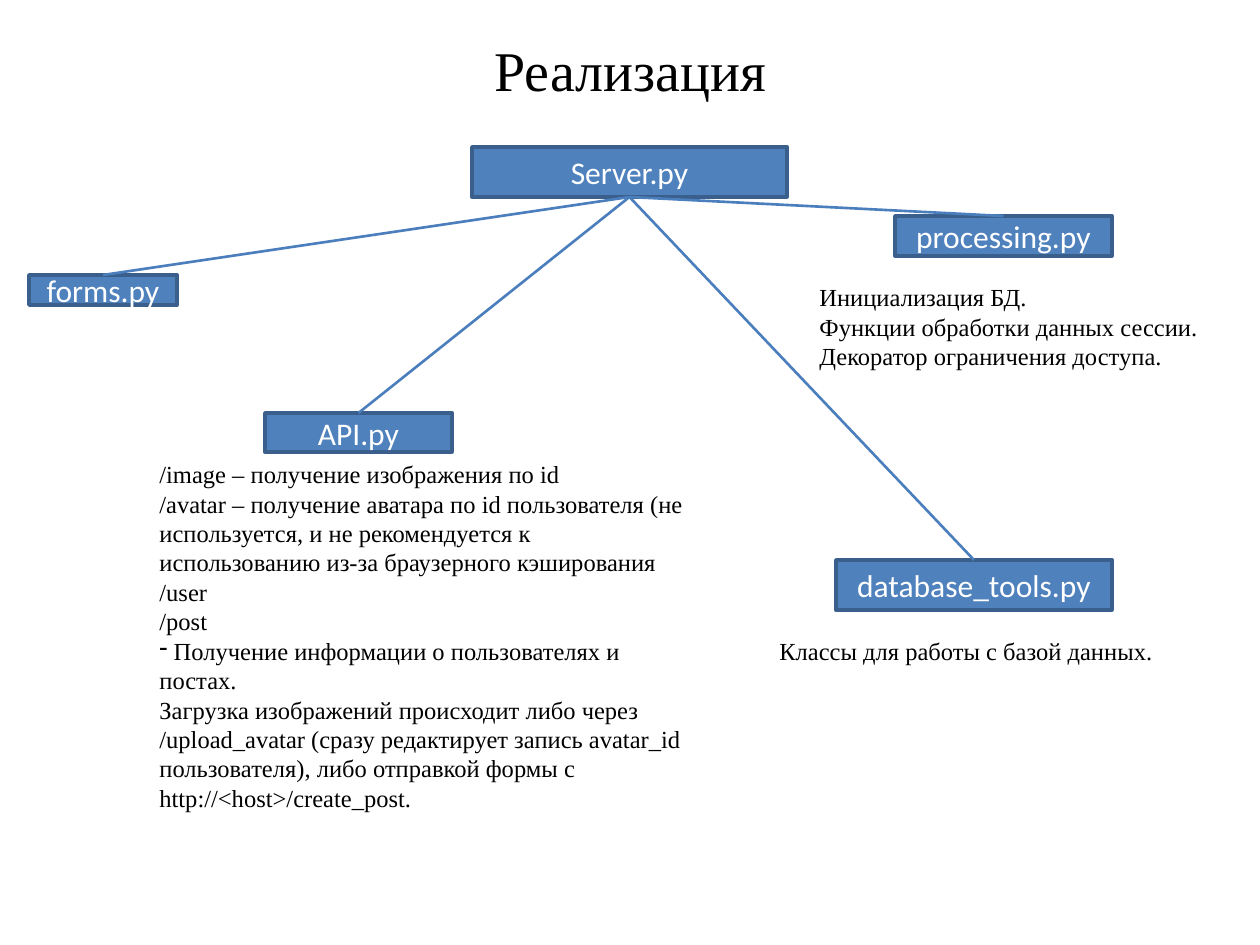
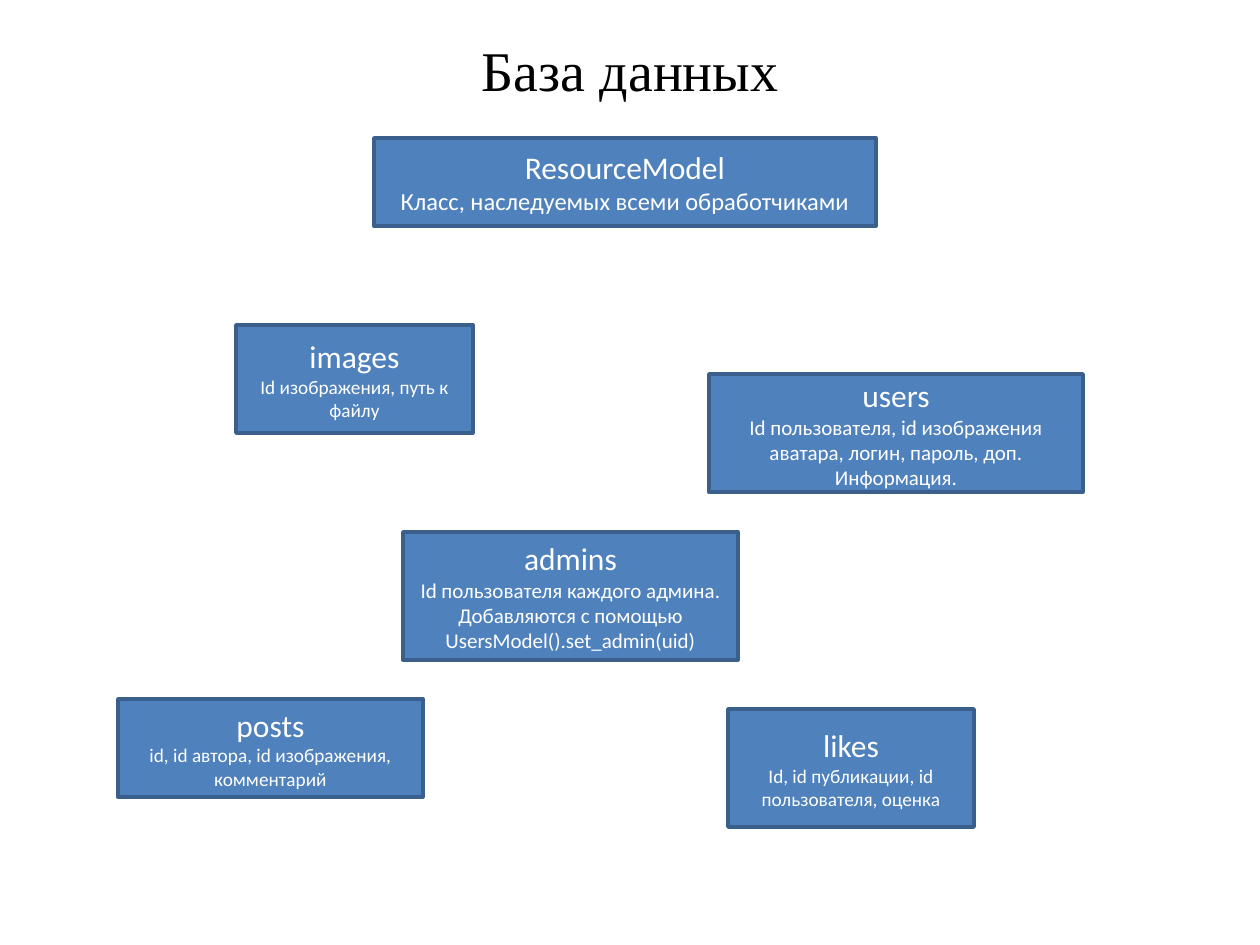
from lxml.etree import SubElement
from pptx import Presentation
from pptx.dml.color import RGBColor
from pptx.enum.shapes import MSO_CONNECTOR, MSO_SHAPE
from pptx.enum.text import MSO_ANCHOR, MSO_AUTO_SIZE, PP_ALIGN
from pptx.oxml.ns import qn
from pptx.util import Emu, Inches, Pt

PX = 914400 / 126
COLORS = {"fill": "4F81BD", "edge": "3A5F8C", "link": "4B7EBC", "light": "FFFFFF", "dark": "000000"}
SERIF, SANS = "Times New Roman", "Calibri"
TITLE_BOX = (286, 29, 689, 81)
BULLET = "- "

SERVER = ("Server.py", (472, 147, 315, 50))
MODULES = [
    ("API.py", (265, 413, 187, 39)),
    ("processing.py", (895, 216, 217, 40)),
    ("forms.py", (29, 275, 148, 30)),
    ("database_tools.py", (836, 560, 276, 50)),
]
NOTES = [
    ((807, 276, 424, 102), [
        "Инициализация БД.",
        "Функции обработки данных сессии.",
        "Декоратор ограничения доступа.",
    ]),
    ((147, 453, 561, 369), [
        "/image – получение изображения по id",
        "/avatar – получение аватара по id пользователя (не используется, и не рекомендуется "
        "к использованию из-за браузерного кэширования",
        "/user",
        "/post",
        "- Получение информации о пользователях и постах.",
        "Загрузка изображений происходит либо через /upload_avatar (сразу редактирует запись "
        "avatar_id пользователя), либо отправкой формы с http://<host>/create_post.",
    ]),
    ((767, 630, 444, 43), ["Классы для работы с базой данных."]),
]
MODELS = [
    ("users", (709, 374, 374, 118), 12,
     ["Id пользователя, id изображения аватара, логин, пароль, доп. Информация."]),
    ("images", (236, 325, 237, 108), 11, ["Id изображения, путь к файлу"]),
    ("likes", (728, 709, 246, 118), 11, ["Id, id публикации, id пользователя, оценка"]),
    ("posts", (118, 699, 305, 98), 11, ["id, id автора, id изображения, комментарий"]),
    ("ResourceModel", (374, 138, 502, 88), 14, ["Класс, наследуемых всеми обработчиками"]),
    ("admins", (403, 532, 335, 128), 12,
     ["Id пользователя каждого админа.", "Добавляются с помощью UsersModel().set_admin(uid)"]),
]


def rgb(name):
    return RGBColor.from_string(COLORS[name])


def emu(box):
    return [Emu(round(v * PX)) for v in box]


def style(p, font, size, color, align):
    p.alignment = align
    for r in p.runs:
        r.font.name = font
        r.font.size = Pt(size)
        r.font.color.rgb = rgb(color)


def add_slide(prs, title):
    s = prs.slides.add_slide(prs.slide_layouts[5])
    sp = s.shapes.title
    sp.left, sp.top, sp.width, sp.height = emu(TITLE_BOX)
    tf = sp.text_frame
    tf.text = title
    tf.auto_size = MSO_AUTO_SIZE.NONE
    tf.vertical_anchor = MSO_ANCHOR.TOP
    style(tf.paragraphs[0], SERIF, 32, "dark", PP_ALIGN.CENTER)
    return s


def add_box(s, name, box, size=18, details=()):
    sp = s.shapes.add_shape(MSO_SHAPE.RECTANGLE, *emu(box))
    sp.shadow.inherit = False
    sp.fill.solid()
    sp.fill.fore_color.rgb = rgb("fill")
    sp.line.color.rgb = rgb("edge")
    sp.line.width = Pt(2)
    tf = sp.text_frame
    tf.word_wrap = True
    tf.vertical_anchor = MSO_ANCHOR.MIDDLE
    tf.text = "\n".join([name, *details])
    for i, p in enumerate(tf.paragraphs):
        style(p, SANS, size if i else 18, "light", PP_ALIGN.CENTER)
    return sp


def add_link(s, parent, child):
    c = s.shapes.add_connector(MSO_CONNECTOR.STRAIGHT, 0, 0, 0, 0)
    c.begin_connect(parent, 2)
    c.end_connect(child, 0)
    c.line.color.rgb = rgb("link")
    c.line.width = Pt(1.5)
    SubElement(c._element.spPr, qn("a:effectLst"))


def add_note(s, box, lines):
    tf = s.shapes.add_textbox(*emu(box)).text_frame
    tf.word_wrap = True
    tf.text = "\n".join(lines)
    for p in tf.paragraphs:
        bulleted = p.text.startswith(BULLET)
        if bulleted:
            p.text = p.text[1:]
        style(p, SERIF, 14, "dark", PP_ALIGN.LEFT)
        if bulleted:
            pPr = p._p.get_or_add_pPr()
            pPr.set("marL", "0")
            pPr.set("indent", "0")
            SubElement(pPr, qn("a:buFontTx"))
            SubElement(pPr, qn("a:buChar"), char="-")


def main():
    prs = Presentation()
    prs.slide_width, prs.slide_height = Inches(10), Inches(7.5)

    s = add_slide(prs, "Реализация")
    server = add_box(s, *SERVER)
    for name, box in MODULES:
        add_link(s, server, add_box(s, name, box))
    for box, lines in NOTES:
        add_note(s, box, lines)

    s = add_slide(prs, "База данных")
    for name, box, size, details in MODELS:
        add_box(s, name, box, size, details)

    prs.save("out.pptx")


if __name__ == "__main__":
    main()
